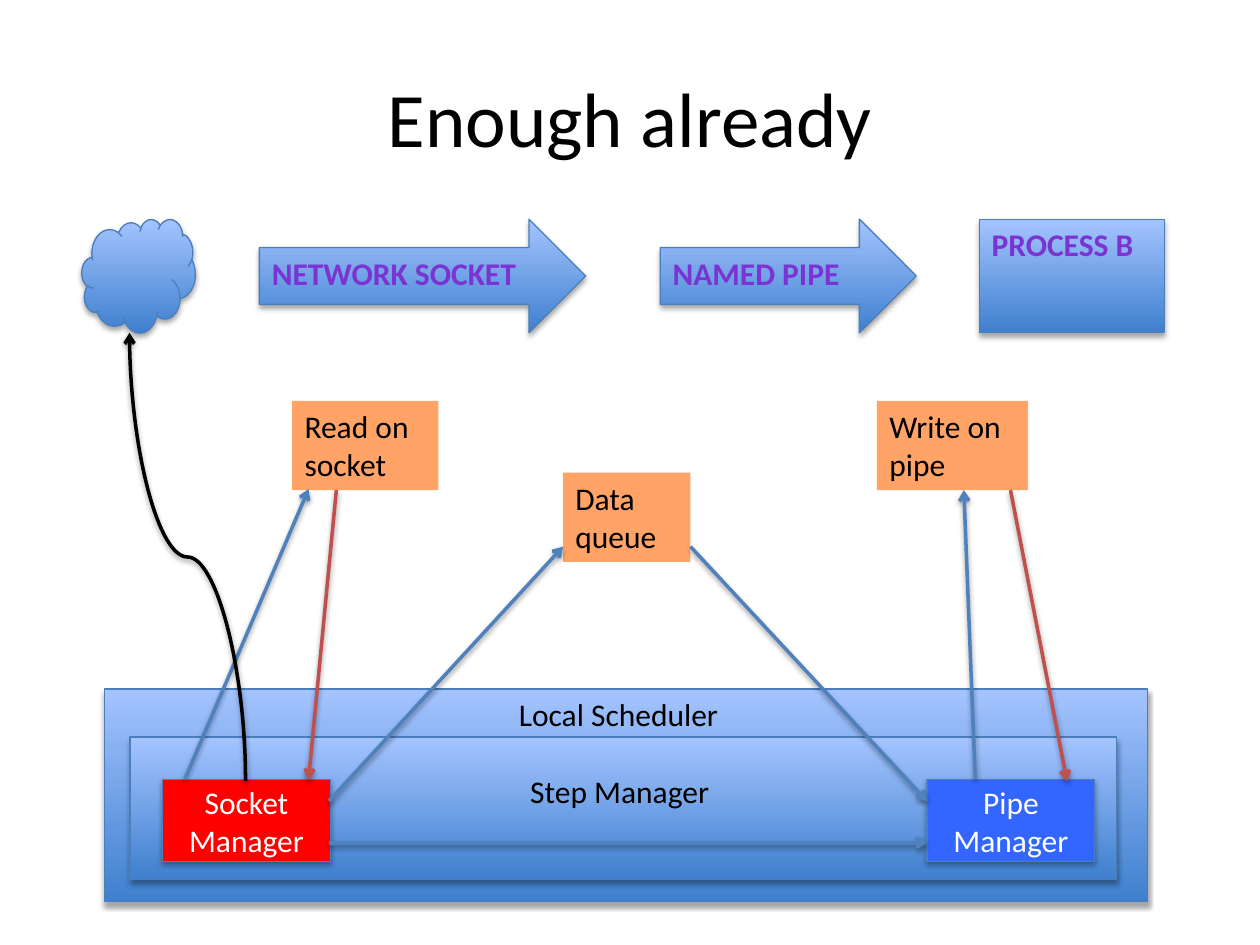
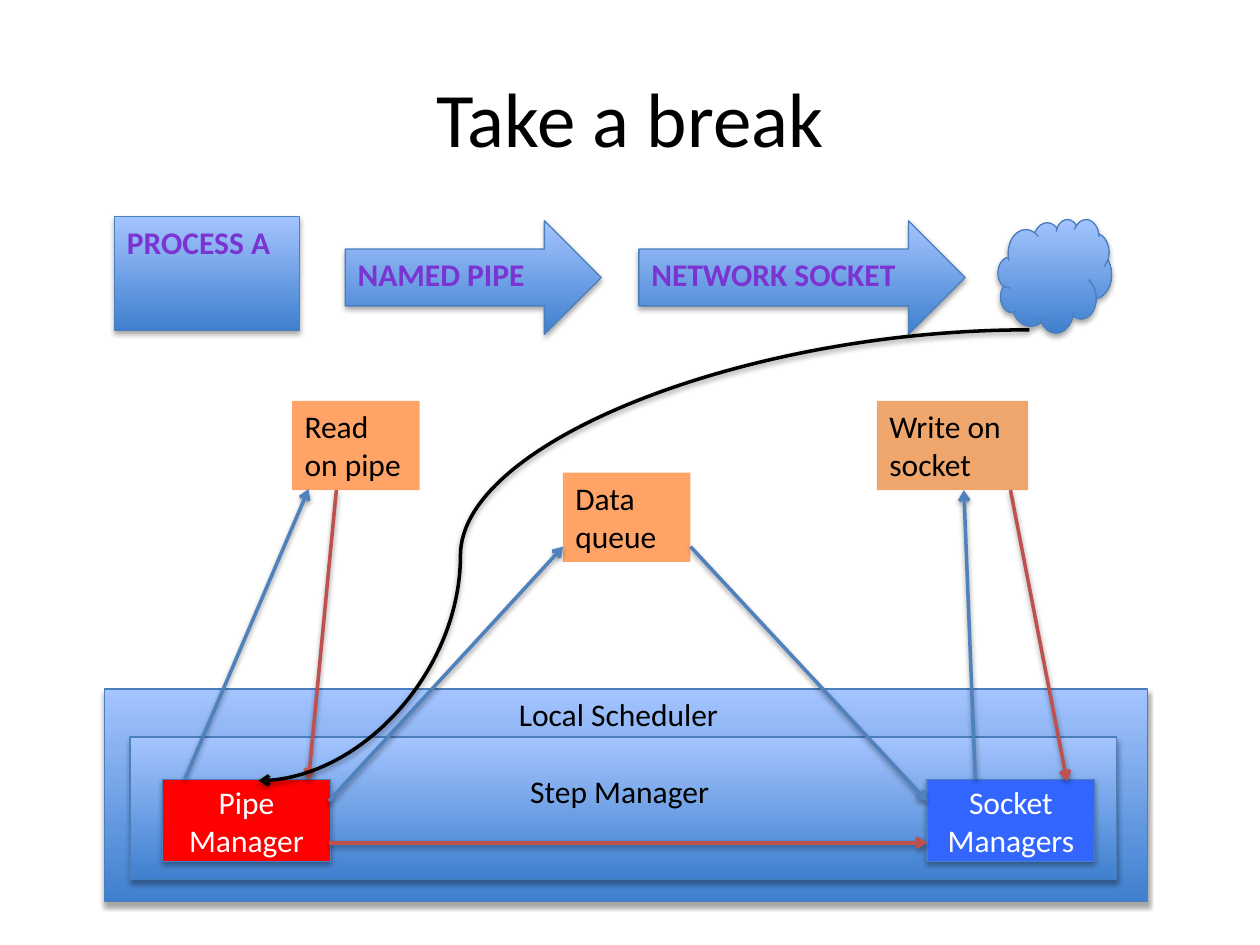
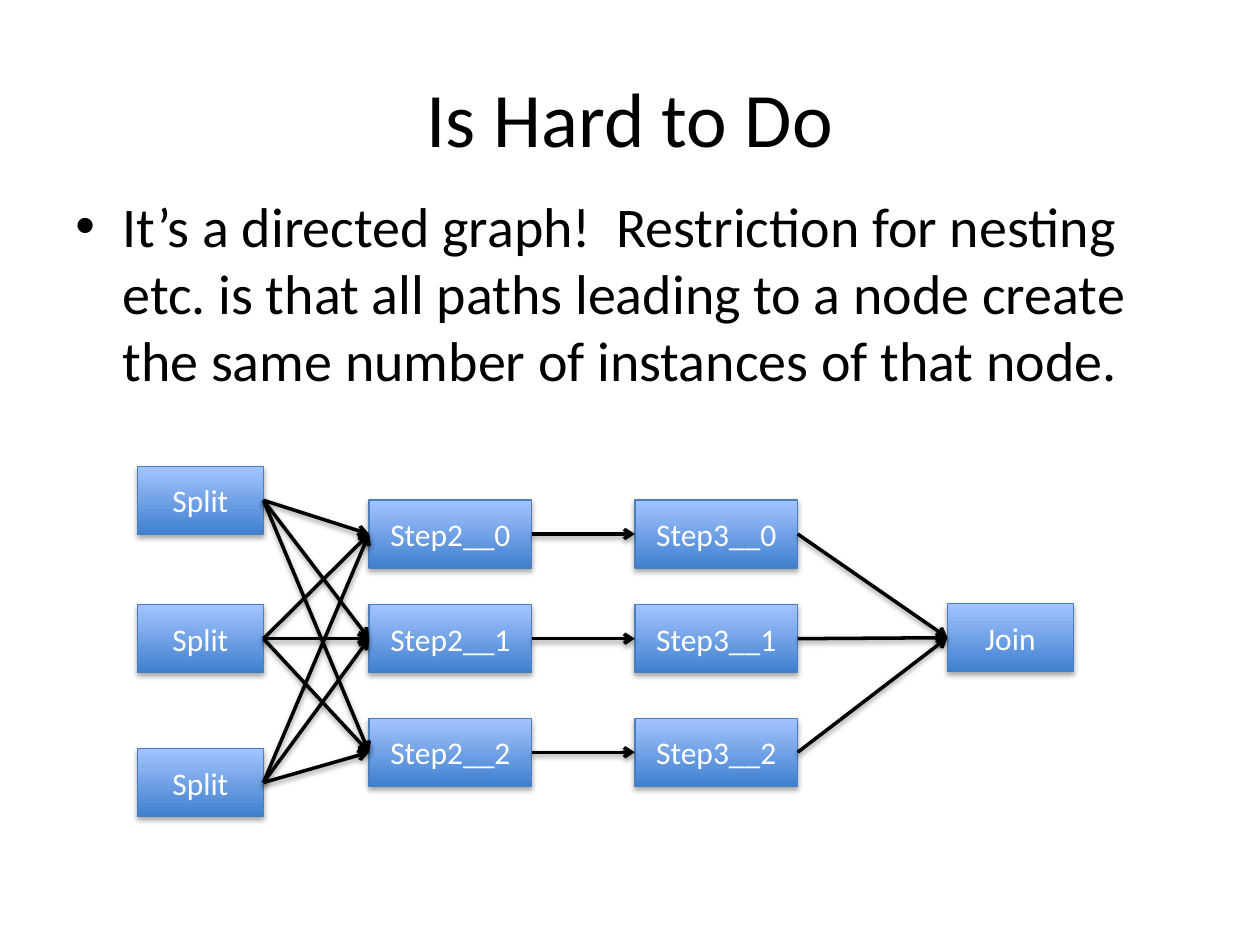
from itertools import product

from lxml import etree
from pptx import Presentation
from pptx.dml.color import RGBColor
from pptx.enum.shapes import MSO_CONNECTOR, MSO_SHAPE
from pptx.enum.text import MSO_ANCHOR, PP_ALIGN
from pptx.oxml.ns import qn
from pptx.util import Cm, Pt

RECTANGLE, ARROW, CLOUD = MSO_SHAPE.RECTANGLE, MSO_SHAPE.RIGHT_ARROW, MSO_SHAPE.CLOUD
STRAIGHT, CURVE = MSO_CONNECTOR.STRAIGHT, MSO_CONNECTOR.CURVE
TOP, MIDDLE = MSO_ANCHOR.TOP, MSO_ANCHOR.MIDDLE
LEFT, CENTER = PP_ALIGN.LEFT, PP_ALIGN.CENTER

FONT = "Calibri"
COLORS = {
    "black": "000000",
    "white": "FFFFFF",
    "gradient_bottom": "3F80CE",
    "gradient_top": "A4C4FF",
    "outline": "4B7EBC",
    "heading": "7B34D2",
    "orange": "FF6600",
    "brown": "E46C0A",
    "red": "FF0000",
    "blue": "3366FF",
    "call": "4F81BD",
    "reply": "C0504D",
}

# Sizes in centimetres
PROCESS_SIZE = (3.73, 2.29)
PIPE_SIZE = (5.16, 2.29)
SOCKET_SIZE = (6.58, 2.29)
CLOUD_SIZE = (2.29, 2.29)
MANAGER_SIZE = (3.38, 1.65)
END_SIZE = (2.54, 1.37)
STEP_SIZE = (3.28, 1.37)


def color(name):
    return RGBColor.from_string(COLORS[name])


def add_child(parent, tag, **attributes):
    values = {key: str(value) for key, value in attributes.items()}
    return etree.SubElement(parent, qn(tag), values)


# Shared formatting
def add_shadow(element, distance, opacity):
    properties = element.spPr
    effects = properties.find(qn("a:effectLst"))
    if effects is None:
        effects = add_child(properties, "a:effectLst")
    shadow = add_child(effects, "a:outerShdw", blurRad=40000, dist=distance,
                       dir=5400000, rotWithShape=0)
    shade = add_child(shadow, "a:srgbClr", val=COLORS["black"])
    add_child(shade, "a:alpha", val=opacity * 1000)


def write(shape, text, size=18, color_name="black", bold=False, align=LEFT, anchor=TOP):
    frame = shape.text_frame
    frame.text = text
    frame.word_wrap = True
    frame.vertical_anchor = anchor
    paragraph = frame.paragraphs[0]
    paragraph.alignment = align
    for run in paragraph.runs:
        run.font.name = FONT
        run.font.size = Pt(size)
        run.font.bold = bold
        run.font.color.rgb = color(color_name)
    return paragraph


# Kinds of element
def add_text(slide, box, text, **style):
    return write(slide.shapes.add_textbox(*map(Cm, box)), text, **style)


def add_title(slide, text):
    add_text(slide, (1.27, 0.76, 22.86, 3.18), text, size=44, align=CENTER, anchor=MIDDLE)


def add_bullet(slide, box, text):
    paragraph = add_text(slide, box, text, size=32)
    paragraph.space_before = Pt(6)
    properties = paragraph._p.get_or_add_pPr()
    properties.set("marL", str(Cm(0.95)))
    properties.set("indent", str(-Cm(0.95)))
    add_child(properties, "a:buFont", typeface="Arial")
    add_child(properties, "a:buChar", char="•")


def add_block(slide, box, kind=RECTANGLE, fill=None):
    """Add an outlined shape with a shadow, blue gradient unless a fill is named."""
    shape = slide.shapes.add_shape(kind, *map(Cm, box))
    if fill:
        shape.fill.solid()
        shape.fill.fore_color.rgb = color(fill)
    else:
        shape.fill.gradient()
        shape.fill.gradient_angle = 90
        for stop, name in zip(shape.fill.gradient_stops, ("gradient_bottom", "gradient_top")):
            stop.color.rgb = color(name)
    shape.line.color.rgb = color("outline")
    shape.line.width = Pt(0.75)
    shape.shadow.inherit = False
    add_shadow(shape._element, 23000, 35)
    return shape


def add_heading(slide, box, text, kind=ARROW):
    write(add_block(slide, box, kind), text, color_name="heading", bold=True)


def add_node(slide, box, text, fill=None):
    shape = add_block(slide, box, fill=fill)
    write(shape, text, color_name="white", align=CENTER, anchor=MIDDLE)
    return shape


def add_task(slide, box, text, fill="orange"):
    shape = slide.shapes.add_shape(RECTANGLE, *map(Cm, box))
    shape.fill.solid()
    shape.fill.fore_color.rgb = color(fill)
    add_child(shape._element.spPr.find(".//" + qn("a:srgbClr")), "a:alpha", val=60000)
    shape.line.fill.background()
    shape.shadow.inherit = False
    write(shape, text)


def add_arrow(slide, start, end, color_name="black", kind=STRAIGHT):
    connector = slide.shapes.add_connector(kind, *map(Cm, start + end))
    connector.line.color.rgb = color(color_name)
    connector.line.width = Pt(2)
    add_child(connector.line._get_or_add_ln(), "a:tailEnd", type="arrow")
    add_shadow(connector._element, 20000, 38)
    return connector


def add_curve(slide, box, rotation, bend):
    """Add a curved arrow, rising in its box before the rotation in degrees."""
    left, top, width, height = box
    curve = add_arrow(slide, (left, top + height), (left + width, top), kind=CURVE)
    properties = curve._element.spPr
    properties.find(qn("a:xfrm")).set("rot", str(rotation * 60000))
    geometry = properties.find(qn("a:prstGeom"))
    guides = geometry.find(qn("a:avLst"))
    if guides is None:
        guides = add_child(geometry, "a:avLst")
    add_child(guides, "a:gd", name="adj1", fmla=f"val {bend}")


def link(slide, source, target):
    """Join the right side of one node to the left side of another."""
    arrow = add_arrow(slide, (0, 0), (1, 1))
    arrow.begin_connect(source, 3)
    arrow.end_connect(target, 1)


# Scheduler diagram of the first two slides
def add_scheduler(slide, read, read_width, send, send_fill, managers, transfer):
    add_task(slide, (5.89, 8.08, read_width, 1.8), read)
    add_task(slide, (11.35, 9.53, 2.57, 1.8), "Data queue")
    add_task(slide, (17.68, 8.08, 3.05, 1.8), send, send_fill)

    add_block(slide, (2.11, 13.89, 21.03, 4.29))
    add_text(slide, (10.21, 13.89, 4.88, 1.02), "Local Scheduler")
    add_block(slide, (2.62, 14.86, 19.89, 2.87))
    for left, text, fill in zip((3.28, 18.69), managers, ("red", "blue")):
        add_node(slide, (left, 15.72, *MANAGER_SIZE), text, fill)
    add_text(slide, (10.44, 15.44, 4.24, 1.02), "Step Manager")

    for start, end, color_name in (
        ((3.73, 15.7), (6.22, 9.86), "call"),
        ((6.78, 9.88), (6.22, 15.72), "reply"),
        ((6.63, 16.15), (11.35, 11.02), "call"),
        ((6.63, 16.99), (18.69, 16.99), transfer),
        ((13.92, 11.02), (18.69, 16.15), "call"),
        ((19.66, 15.7), (19.43, 9.88), "call"),
        ((20.37, 9.88), (21.51, 15.75), "reply"),
    ):
        add_arrow(slide, start, end, color_name)


def build_receiver(slide):
    add_title(slide, "Enough already")
    add_heading(slide, (19.74, 4.42, *PROCESS_SIZE), "PROCESS B", RECTANGLE)
    add_heading(slide, (13.31, 4.42, *PIPE_SIZE), "NAMED PIPE")
    add_heading(slide, (5.23, 4.42, *SOCKET_SIZE), "NETWORK SOCKET")
    add_block(slide, (1.65, 4.42, *CLOUD_SIZE), CLOUD)
    add_scheduler(slide, "Read on socket", 2.95, "Write on pipe", "orange",
                  ("Socket Manager", "Pipe Manager"), "call")
    add_curve(slide, (-0.74, 10.06, 9.04, 2.34), 270, 50000)


def build_sender(slide):
    add_title(slide, "Take a break")
    add_heading(slide, (2.31, 4.37, *PROCESS_SIZE), "PROCESS A", RECTANGLE)
    add_heading(slide, (6.96, 4.45, *PIPE_SIZE), "NAMED PIPE")
    add_heading(slide, (12.88, 4.45, *SOCKET_SIZE), "NETWORK SOCKET")
    add_block(slide, (20.12, 4.42, *CLOUD_SIZE), CLOUD)
    add_scheduler(slide, "Read on pipe", 2.57, "Write on socket", "brown",
                  ("Pipe Manager", "Socket Managers"), "reply")
    add_curve(slide, (5.21, 6.65, 15.54, 9.09), 180, 73800)


def build_graph(slide):
    add_title(slide, "Is Hard to Do")
    add_bullet(slide, (1.27, 3.73, 22.86, 12.57),
               "It’s a directed graph!  Restriction for nesting etc. is that all paths "
               "leading to a node create the same number of instances of that node.")

    # Nodes, column by column
    splits = [add_node(slide, (2.77, top, *END_SIZE), "Split")
              for top in (9.4, 12.19, 15.09)]
    second, third = (
        [add_node(slide, (left, top, *STEP_SIZE), f"Step{step}__{index}")
         for index, top in enumerate((10.08, 12.19, 14.48))]
        for step, left in ((2, 7.44), (3, 12.8))
    )
    join = add_node(slide, (19.1, 12.17, *END_SIZE), "Join")

    # Edges
    edges = [*product(splits, second), *zip(second, third), *product(third, [join])]
    for source, target in edges:
        link(slide, source, target)


def main():
    presentation = Presentation()
    presentation.slide_width = Cm(25.4)
    presentation.slide_height = Cm(19.05)
    blank = presentation.slide_layouts[6]
    for build in (build_receiver, build_sender, build_graph):
        build(presentation.slides.add_slide(blank))
    presentation.save("out.pptx")


if __name__ == "__main__":
    main()
